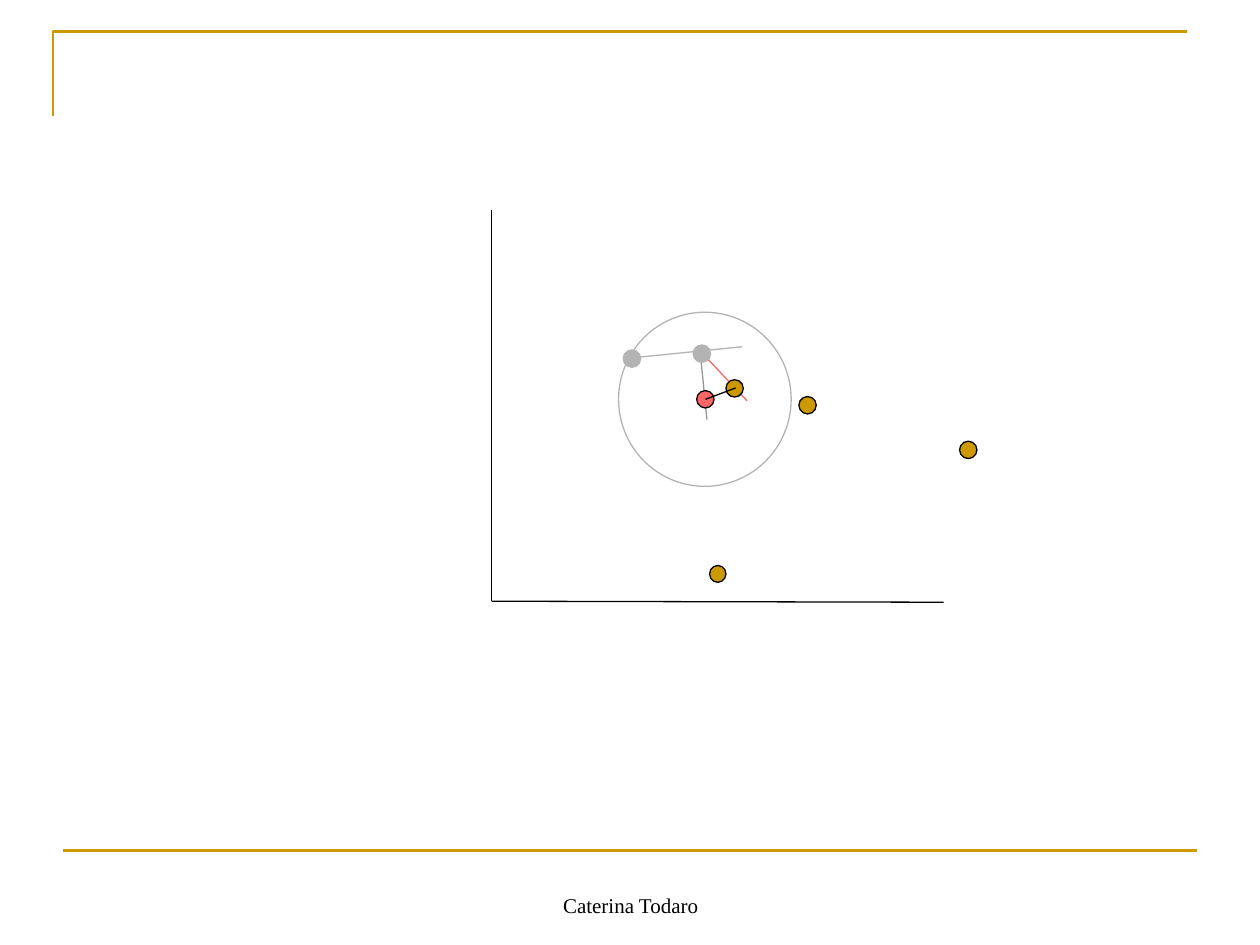
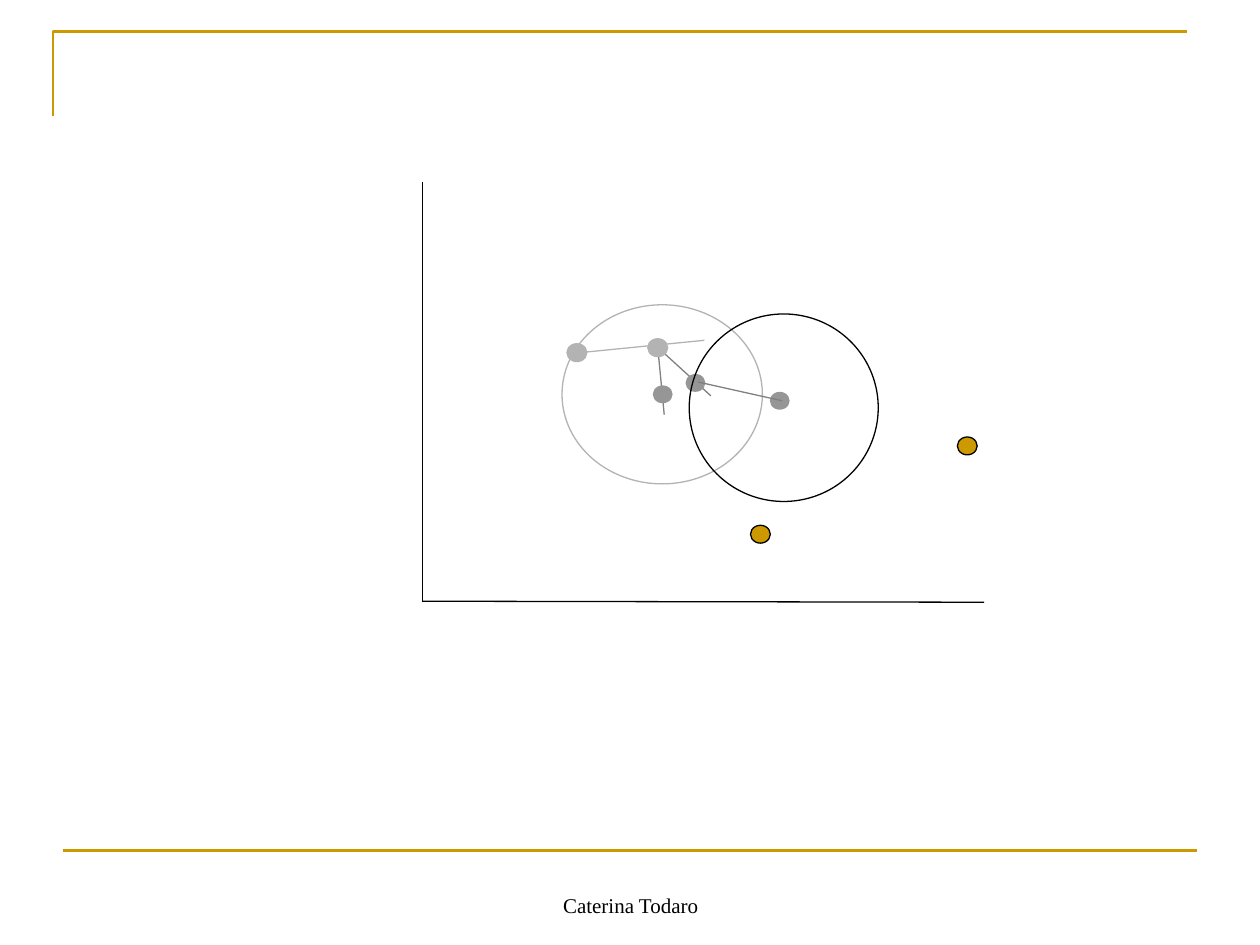
from dataclasses import dataclass
from typing import NamedTuple, Optional, Union

from lxml import etree
from pptx import Presentation
from pptx import util as u
from pptx.dml.color import RGBColor
from pptx.enum import shapes, text
from pptx.oxml.ns import qn
from pptx.slide import Slide


@dataclass(frozen=True)
class Theme:
    gold: str = "CC9900"
    red: str = "FF6666"
    black: str = "000000"
    light_gray: str = "B3B3B3"
    gray: str = "969696"
    dark_gray: str = "808080"
    font: str = "Times New Roman"
    footer_size: float = 12
    thin: float = 0.75
    frame: float = 1.5


THEME = Theme()


class Point(NamedTuple):
    """A place on the slide, in centimetres."""
    x: float
    y: float


class Size(NamedTuple):
    width: float
    height: float


@dataclass(frozen=True)
class Segment:
    start: Point
    end: Point
    color: str = THEME.black
    weight: float = THEME.thin


@dataclass(frozen=True)
class Ellipse:
    center: Point
    size: Size
    fill: Optional[str] = None
    outline: Optional[str] = THEME.black


Item = Union[Segment, Ellipse]

AUTHOR = "Caterina Todaro"
BASELINE = Segment(Point(1.27, 17.15), Point(24.13, 17.15), THEME.gold, THEME.frame)
CORNER = [Point(1.07, 2.34), Point(1.07, 0.64), Point(23.93, 0.64)]
FIRST_DOT = Size(0.35, 0.35)
SECOND_DOT = Size(0.4, 0.36)


def axes(top: Point, right: float) -> list[Item]:
    origin = Point(top.x, 12.12)
    return [Segment(top, origin), Segment(origin, Point(right, 12.14))]


def gold_dot(x: float, y: float, size: Size) -> Ellipse:
    return Ellipse(Point(x, y), size, THEME.gold)


def light_dot(x: float, y: float, size: Size) -> Ellipse:
    return Ellipse(Point(x, y), size, THEME.light_gray, THEME.light_gray)


def gray_dot(x: float, y: float, size: Size) -> Ellipse:
    return Ellipse(Point(x, y), size, THEME.gray, None)


FIRST_STEP: list[Item] = [
    Segment(Point(12.78, 7.21), Point(14.96, 6.99), THEME.light_gray),
    Segment(Point(14.12, 7.14), Point(14.25, 8.46), THEME.gray),
    Segment(Point(14.1, 7.06), Point(15.06, 8.08), THEME.red),
    Ellipse(Point(14.21, 8.05), Size(3.48, 3.51), outline=THEME.light_gray),
    light_dot(12.74, 7.23, FIRST_DOT),
    light_dot(14.15, 7.13, FIRST_DOT),
    gold_dot(16.28, 8.17, FIRST_DOT),
    Ellipse(Point(14.22, 8.05), FIRST_DOT, THEME.red),
    gold_dot(14.81, 7.83, FIRST_DOT),
    gold_dot(19.52, 9.07, FIRST_DOT),
    Segment(Point(14.22, 8.05), Point(14.83, 7.82)),
    *axes(Point(9.91, 4.24), 19.02),
    gold_dot(14.47, 11.57, Size(0.33, 0.34)),
]

SECOND_STEP: list[Item] = [
    *axes(Point(8.51, 3.66), 19.84),
    Segment(Point(11.68, 7.11), Point(14.2, 6.86), THEME.light_gray),
    Segment(Point(13.26, 7.01), Point(13.39, 8.36), THEME.dark_gray),
    Segment(Point(13.18, 6.93), Point(14.33, 7.98), THEME.dark_gray),
    Ellipse(Point(13.35, 7.95), Size(4.04, 3.61), outline=THEME.light_gray),
    light_dot(11.63, 7.11, SECOND_DOT),
    light_dot(13.26, 7.01, SECOND_DOT),
    gray_dot(15.72, 8.08, SECOND_DOT),
    gold_dot(15.33, 10.77, SECOND_DOT),
    gray_dot(13.36, 7.95, SECOND_DOT),
    gray_dot(14.02, 7.72, SECOND_DOT),
    gold_dot(19.5, 8.99, SECOND_DOT),
    Segment(Point(14.07, 7.7), Point(15.77, 8.08), THEME.dark_gray),
    Ellipse(Point(15.8, 8.22), Size(3.81, 3.78)),
]


def draw_segment(slide: Slide, segment: Segment) -> None:
    connector = slide.shapes.add_connector(
        shapes.MSO_CONNECTOR.STRAIGHT,
        *(u.Cm(length) for length in (*segment.start, *segment.end)),
    )
    connector.line.color.rgb = RGBColor.from_string(segment.color)
    connector.line.width = u.Pt(segment.weight)
    etree.SubElement(connector._element.spPr, qn("a:effectLst"))


def draw_ellipse(slide: Slide, ellipse: Ellipse) -> None:
    (x, y), (width, height) = ellipse.center, ellipse.size
    oval = slide.shapes.add_shape(
        shapes.MSO_SHAPE.OVAL,
        u.Cm(x - width / 2), u.Cm(y - height / 2), u.Cm(width), u.Cm(height),
    )
    oval.shadow.inherit = False
    if ellipse.fill:
        oval.fill.solid()
        oval.fill.fore_color.rgb = RGBColor.from_string(ellipse.fill)
    else:
        oval.fill.background()
    if ellipse.outline:
        oval.line.color.rgb = RGBColor.from_string(ellipse.outline)
        oval.line.width = u.Pt(THEME.thin)
    else:
        oval.line.fill.background()


def draw_frame(slide: Slide) -> None:
    """Draw the corner rule at the top and the rule above the footer."""
    start, *rest = [(u.Cm(point.x), u.Cm(point.y)) for point in CORNER]
    builder = slide.shapes.build_freeform(*start)
    builder.add_line_segments(rest, close=False)
    corner = builder.convert_to_shape()
    corner.shadow.inherit = False
    corner.fill.background()
    corner.line.color.rgb = RGBColor.from_string(THEME.gold)
    corner.line.width = u.Pt(THEME.frame)
    draw_segment(slide, BASELINE)


def draw_footer(slide: Slide) -> None:
    footer = slide.shapes.add_textbox(u.Cm(8.69), u.Cm(17.35), u.Cm(8.05), u.Cm(1.27))
    frame = footer.text_frame
    frame.word_wrap = True
    frame.vertical_anchor = text.MSO_ANCHOR.BOTTOM
    frame.text = AUTHOR
    paragraph = frame.paragraphs[0]
    paragraph.alignment = text.PP_ALIGN.CENTER
    font = paragraph.runs[0].font
    font.name = THEME.font
    font.size = u.Pt(THEME.footer_size)
    font.color.rgb = RGBColor.from_string(THEME.black)


def main() -> None:
    deck = Presentation()
    deck.slide_width, deck.slide_height = u.Cm(25.4), u.Cm(19.05)
    for step in (FIRST_STEP, SECOND_STEP):
        slide = deck.slides.add_slide(deck.slide_layouts[6])
        draw_frame(slide)
        for item in step:
            if isinstance(item, Segment):
                draw_segment(slide, item)
            else:
                draw_ellipse(slide, item)
        draw_footer(slide)
    deck.save("out.pptx")


if __name__ == "__main__":
    main()
